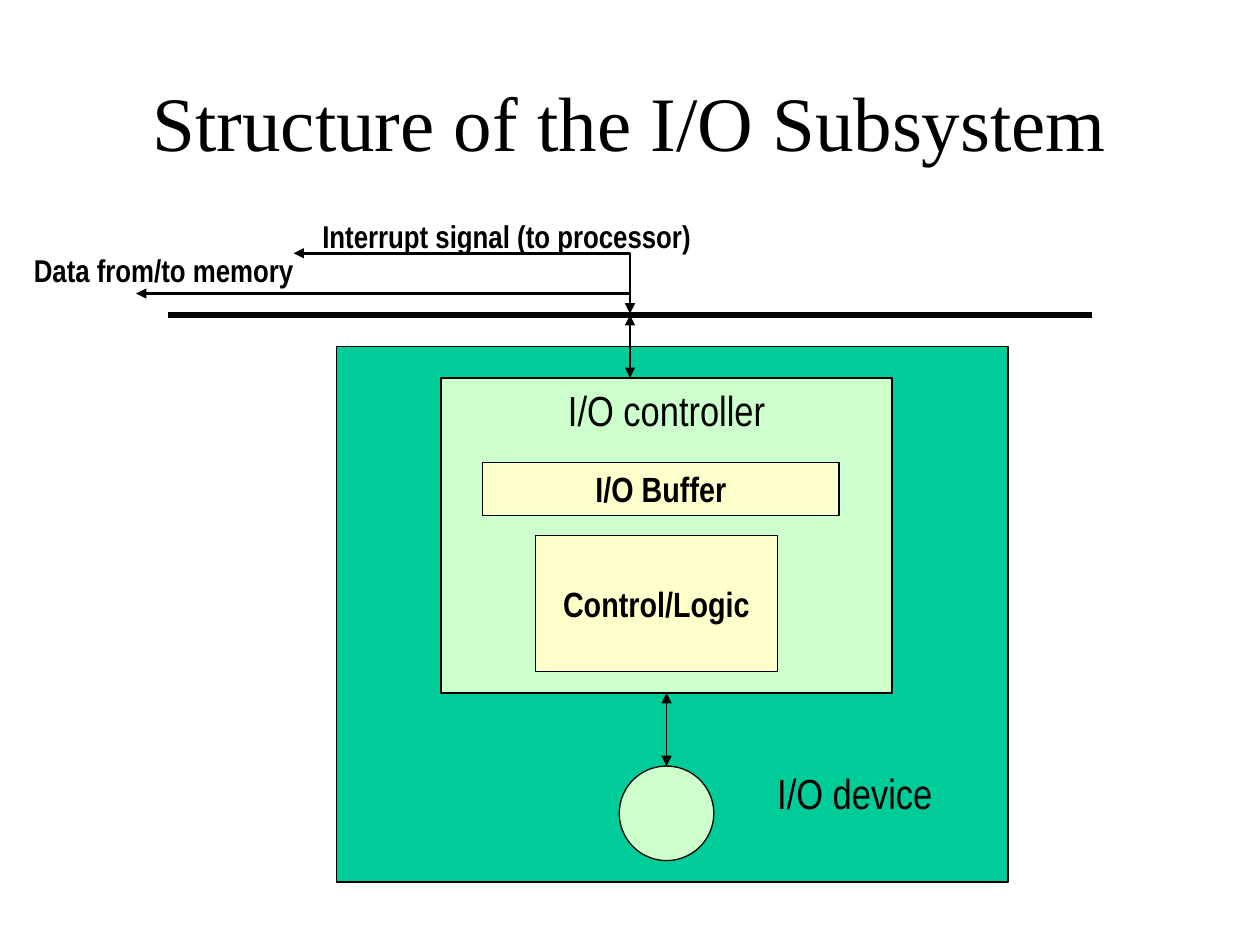
from lxml import etree
from pptx import Presentation
from pptx.dml.color import RGBColor
from pptx.enum.shapes import MSO_CONNECTOR, MSO_SHAPE
from pptx.enum.text import MSO_ANCHOR, PP_ALIGN
from pptx.oxml.ns import qn
from pptx.util import Inches, Pt

RECT, OVAL = MSO_SHAPE.RECTANGLE, MSO_SHAPE.OVAL
STRAIGHT = MSO_CONNECTOR.STRAIGHT
LEFT, CENTER = PP_ALIGN.LEFT, PP_ALIGN.CENTER
TOP, MIDDLE = MSO_ANCHOR.TOP, MSO_ANCHOR.MIDDLE

BLACK, GREEN, MINT, CREAM = "000000", "00CC99", "CCFFCC", "FFFFCC"
TITLE = {"name": "Times New Roman", "size": Pt(44), "bold": False}
NAME = {"name": "Arial Narrow", "size": Pt(24), "bold": False}
PART = {"name": "Arial Narrow", "size": Pt(20), "bold": True}
SIGNAL = {"name": "Arial Narrow", "size": Pt(18), "bold": True}


def rgb(value):
    """Turn a hex string into a colour."""
    return RGBColor.from_string(value)


def write(sp, text, fmt, align=LEFT, anchor=TOP, wrap=False):
    """Put one formatted paragraph into a shape."""
    tf = sp.text_frame
    frame = {"word_wrap": wrap, "vertical_anchor": anchor,
             "margin_left": Inches(0.1), "margin_right": Inches(0.1),
             "margin_top": Inches(0.05), "margin_bottom": Inches(0.05)}
    for key, value in frame.items():
        setattr(tf, key, value)
    p = tf.paragraphs[0]
    p.alignment = align
    r = p.add_run()
    r.text = text
    for key, value in fmt.items():
        setattr(r.font, key, value)
    r.font.color.rgb = rgb(BLACK)


def add_label(s, box, text, fmt, **layout):
    """Add a text box."""
    write(s.shapes.add_textbox(*map(Inches, box)), text, fmt, **layout)


def add_block(s, kind, box, fill):
    """Add a filled shape with a thin black outline."""
    sp = s.shapes.add_shape(kind, *map(Inches, box))
    sp.shadow.inherit = False
    sp.fill.solid()
    sp.fill.fore_color.rgb = rgb(fill)
    sp.line.color.rgb = rgb(BLACK)
    sp.line.width = Pt(0.75)
    return sp


def style_line(sp, width, ends):
    """Set a black line and its triangle arrowheads."""
    sp.line.color.rgb = rgb(BLACK)
    sp.line.width = Pt(width)
    ln = sp.line._get_or_add_ln()
    for end in ends:
        etree.SubElement(ln, qn(f"a:{end}"), type="triangle")


def add_line(s, start, stop, width, ends=()):
    """Add a straight connector."""
    cx = s.shapes.add_connector(STRAIGHT, *map(Inches, start + stop))
    style_line(cx, width, ends)
    etree.SubElement(cx._element.spPr, qn("a:effectLst"))


def add_bend(s, points, width, ends):
    """Add an open bent line through the points."""
    start, *rest = [tuple(map(Inches, point)) for point in points]
    builder = s.shapes.build_freeform(*start)
    builder.add_line_segments(rest, close=False)
    sp = builder.convert_to_shape()
    sp.shadow.inherit = False
    sp.fill.background()
    style_line(sp, width, ends)


def add_controller(s, x, y, w, h):
    """Draw the controller with its buffer and logic."""
    sp = add_block(s, RECT, (x, y, w, h), MINT)
    write(sp, "I/O controller", NAME, CENTER)
    parts = [("I/O Buffer", 0.33, 0.67, 2.83, 0.42),
             ("Control/Logic", 0.75, 1.25, 1.92, 1.08)]
    for text, dx, dy, pw, ph in parts:
        sp = add_block(s, RECT, (x + dx, y + dy, pw, ph), CREAM)
        write(sp, text, PART, CENTER, MIDDLE)


def add_device(s, x, y, w, h):
    """Draw the device around its controller and unit."""
    add_block(s, RECT, (x, y, w, h), GREEN)
    cx, cy, cw, ch = x + 0.83, y + 0.25, 3.58, 2.5
    add_controller(s, cx, cy, cw, ch)
    mid, size, unit_top = cx + cw / 2, 0.75, y + 3.33
    add_block(s, OVAL, (mid - size / 2, unit_top, size, size), MINT)
    add_line(s, (mid, unit_top), (mid, cy + ch), 0.75, ("headEnd", "tailEnd"))
    add_label(s, (x + 3.4, y + 3.29, 1.43, 0.5), "I/O device", NAME)


def add_bus(s, x, y, w):
    """Draw the bus with its link and signal lines."""
    mid = x + w / 2
    add_line(s, (x, y), (x + w, y), 4)
    add_line(s, (mid, y + 0.5), (mid, y), 1.5, ("headEnd", "tailEnd"))
    upper, lower = y - 0.49, y - 0.17
    add_bend(s, [(mid, lower), (mid, upper), (x + 1, upper)], 1.5, ("tailEnd",))
    add_bend(s, [(mid, y - 0.01), (mid, lower), (x - 0.25, lower)], 1.5,
             ("headEnd", "tailEnd"))
    add_label(s, (x - 1.16, y - 0.56, 2.26, 0.4), "Data from/to memory", SIGNAL)
    add_label(s, (x + 1.13, y - 0.83, 3.13, 0.4),
              "Interrupt signal (to processor)", SIGNAL)


def main():
    """Build and save the slide."""
    prs = Presentation()
    prs.slide_width, prs.slide_height = Inches(10), Inches(7.5)
    s = prs.slides.add_slide(prs.slide_layouts[6])
    add_label(s, (0.75, 0.5, 8.5, 0.92), "Structure of the I/O Subsystem", TITLE,
              align=CENTER, anchor=MIDDLE, wrap=True)
    add_device(s, 2.67, 2.75, 5.33, 4.25)
    add_bus(s, 1.33, 2.5, 7.34)
    prs.save("out.pptx")


if __name__ == "__main__":
    main()
